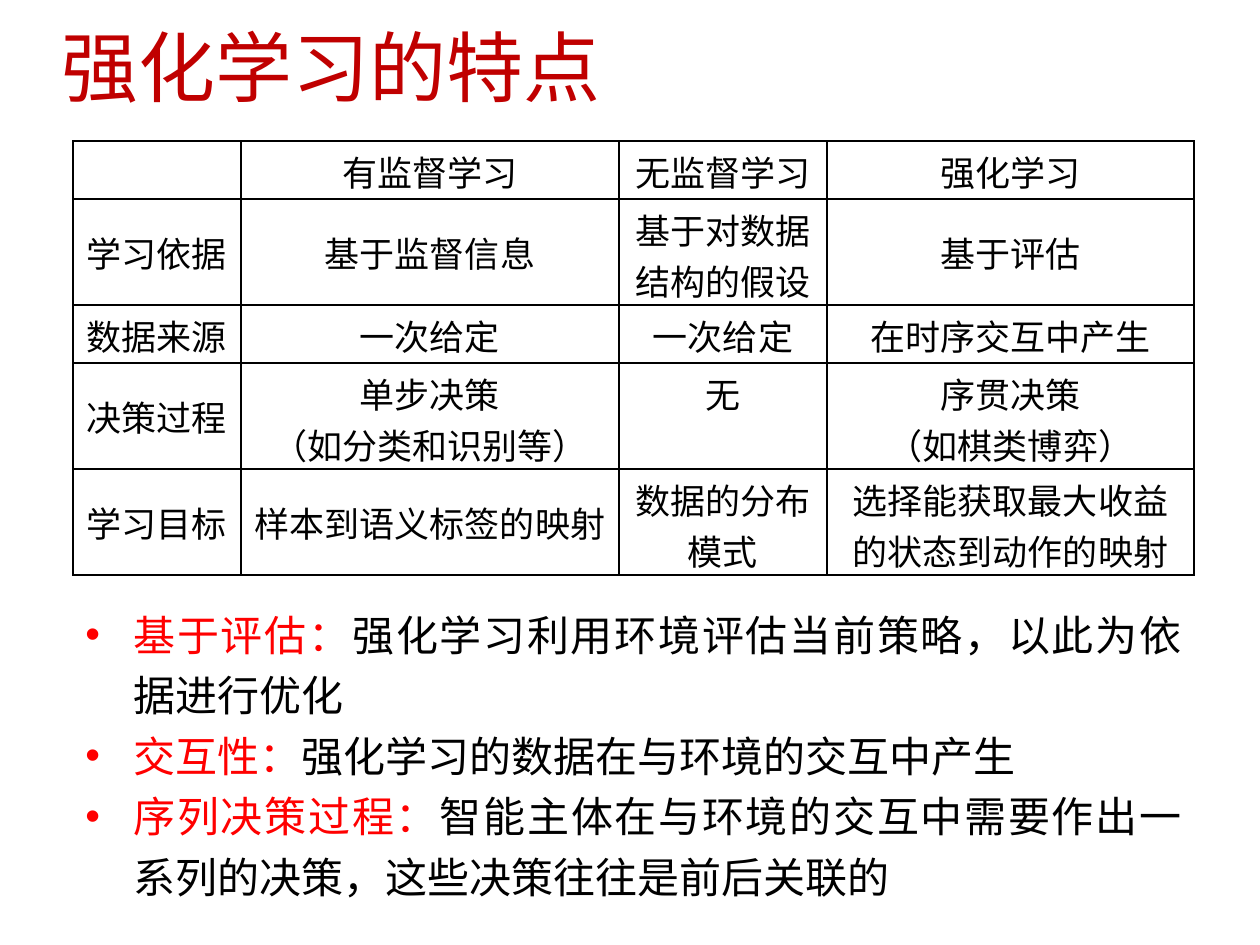
"""Builds a slide on the traits of reinforcement learning."""
import pptx
import pptx.dml.color
import pptx.enum.text
import pptx.oxml
import pptx.oxml.ns
import pptx.util

PX_PER_INCH = 126
BLACK = pptx.dml.color.RGBColor(0, 0, 0)
WHITE = pptx.dml.color.RGBColor(255, 255, 255)
RED = pptx.dml.color.RGBColor(255, 0, 0)
DARK_RED = pptx.dml.color.RGBColor(192, 0, 0)
ALIGN = pptx.enum.text.PP_ALIGN
ANCHOR = pptx.enum.text.MSO_ANCHOR
AUTO_SIZE = pptx.enum.text.MSO_AUTO_SIZE
CJK_FONT = "Noto Sans CJK SC"
TITLE_FONT = "Noto Sans CJK JP"
BODY_FONT = "Times New Roman"

COLUMNS = [168, 378, 208, 367]
ROWS = [58, 106, 58, 106, 106]
CELLS = [
    ["", "有监督学习", "无监督学习", "强化学习"],
    ["学习依据", "基于监督信息", "基于对数据结构的假设", "基于评估"],
    ["数据来源", "一次给定", "一次给定", "在时序交互中产生"],
    ["决策过程", "单步决策\n（如分类和识别等）", "无", "序贯决策\n（如棋类博弈）"],
    ["学习目标", "样本到语义标签的映射", "数据的分布模式", "选择能获取最大收益的状态到动作的映射"],
]
TOP_CELL = (3, 2)
POINTS = [
    ("基于评估：", "强化学习利用环境评估当前策略，以此为依据进行优化"),
    ("交互性：", "强化学习的数据在与环境的交互中产生"),
    ("序列决策过程：", "智能主体在与环境的交互中需要作出一系列的决策，这些决策往往是前后关联的"),
]


def px(length):
    return pptx.util.Emu(round(length * 914400 / PX_PER_INCH))


def xml(tag, inner="", **attributes):
    pairs = "".join(f' {name}="{value}"' for name, value in attributes.items())
    namespace = pptx.oxml.ns.nsdecls("a")
    return pptx.oxml.parse_xml(f"<a:{tag} {namespace}{pairs}>{inner}</a:{tag}>")


def add_span(para, text, size, color, font, east_asian=CJK_FONT):
    span = para.add_run()
    span.text = text
    span.font.size = pptx.util.Pt(size)
    span.font.color.rgb = color
    span.font.name = font
    span.font._element.append(xml("ea", typeface=east_asian))


def set_indent(para, margin, indent):
    properties = para._p.get_or_add_pPr()
    properties.set("marL", str(px(margin)))
    properties.set("indent", str(px(indent)))
    return properties


def add_title(page, text):
    title = page.shapes.title
    title.left, title.top, title.width, title.height = px(0), px(13), px(1142), px(106)
    frame = title.text_frame
    frame.auto_size = AUTO_SIZE.NONE
    frame.vertical_anchor = ANCHOR.MIDDLE
    para = frame.paragraphs[0]
    para.alignment = ALIGN.LEFT
    set_indent(para, 0, 49)
    add_span(para, text, 44, DARK_RED, TITLE_FONT, TITLE_FONT)


def set_borders(cell):
    properties = cell._tc.get_or_add_tcPr()
    line = '<a:solidFill><a:srgbClr val="000000"/></a:solidFill>'
    for index, side in enumerate(("lnL", "lnR", "lnT", "lnB")):
        properties.insert(index, xml(side, line, w=pptx.util.Pt(1)))


def fill_cell(cell, text, anchor):
    cell.fill.solid()
    cell.fill.fore_color.rgb = WHITE
    set_borders(cell)
    cell.vertical_anchor = anchor
    cell.margin_top = cell.margin_bottom = px(5)
    for index, line in enumerate(text.split("\n") if text else []):
        frame = cell.text_frame
        para = frame.add_paragraph() if index else frame.paragraphs[0]
        para.alignment = ALIGN.CENTER
        add_span(para, line, 20, BLACK, CJK_FONT)


def add_comparison(page):
    table = page.shapes.add_table(
        len(ROWS), len(COLUMNS), px(73), px(141), px(sum(COLUMNS)), px(sum(ROWS))
    ).table
    table.first_row = table.horz_banding = False
    for column, width in zip(table.columns, COLUMNS):
        column.width = px(width)
    for row, height in zip(table.rows, ROWS):
        row.height = px(height)
    for row, texts in enumerate(CELLS):
        for column, text in enumerate(texts):
            anchor = ANCHOR.TOP if (row, column) == TOP_CELL else ANCHOR.MIDDLE
            fill_cell(table.cell(row, column), text, anchor)


def add_points(page):
    box = page.shapes.add_textbox(px(73), px(593), px(1121), px(312))
    frame = box.text_frame
    frame.word_wrap = True
    frame.auto_size = AUTO_SIZE.SHAPE_TO_FIT_TEXT
    for index, (term, explanation) in enumerate(POINTS):
        para = frame.add_paragraph() if index else frame.paragraphs[0]
        para.alignment = ALIGN.JUSTIFY
        para.line_spacing = 1.2
        properties = set_indent(para, 48, -48)
        properties.append(xml("buFont", typeface="Arial"))
        properties.append(xml("buChar", char="•"))
        add_span(para, term, 24, RED, BODY_FONT)
        add_span(para, explanation, 24, BLACK, BODY_FONT)


def main():
    deck = pptx.Presentation()
    deck.slide_width, deck.slide_height = px(1260), px(945)
    page = deck.slides.add_slide(deck.slide_layouts[5])
    add_points(page)
    add_comparison(page)
    add_title(page, "强化学习的特点")
    deck.save("out.pptx")


if __name__ == "__main__":
    main()
